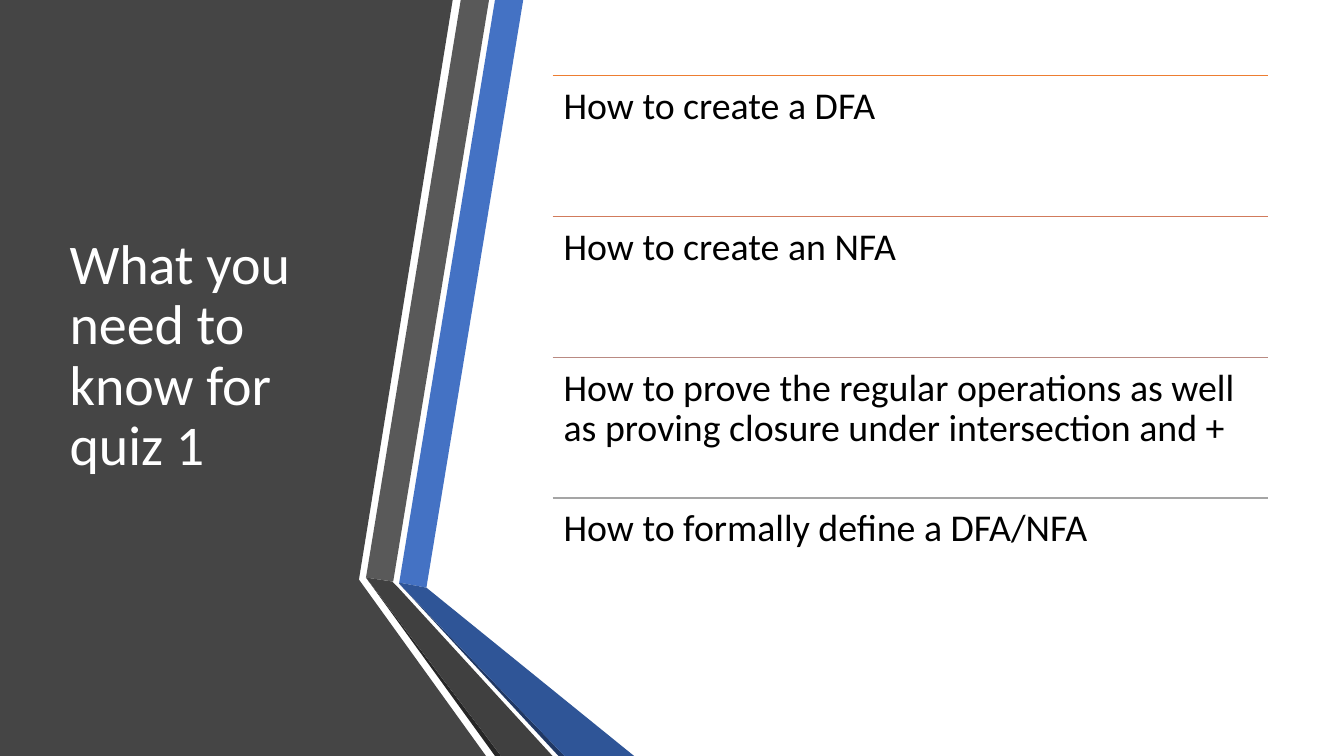
from lxml import etree
from pptx import Presentation, util as u
from pptx.dml.color import RGBColor
from pptx.enum import shapes, text
from pptx.oxml.ns import qn

PX = 9144  # 100 px to the inch
COLORS = {
    "panel": "454545",
    "blue": "4472C4", "blue_fold": "2F5597", "blue_edge": "203864",
    "gray": "595959", "gray_fold": "404040", "gray_edge": "262626",
    "title": "FFFFFF", "topic": "000000",
}
FONT = "Calibri"

BANDS = [
    ("panel", [(0, 0), (449, 0), (356, 575), (482, 750), (0, 750)]),
    ("blue", [(396, 578), (423, 583), (519, 0), (491, 0)]),
    ("gray", [(485, 0), (457, 0), (363, 573), (390, 577)]),
    ("gray_edge", [(363, 573), (491, 750), (497, 750)]),
    ("blue_edge", [(396, 579), (554, 750), (560, 750)]),
    ("blue_fold", [(396, 579), (560, 750), (629, 750), (423, 583), (396, 578)]),
    ("gray_fold", [(548, 750), (395, 583), (389, 577), (363, 573), (497, 750)]),
]
TOPICS = [
    ("How to create a DFA", "ED7D31"),
    ("How to create an NFA", "D17B5C"),
    ("How to prove the regular operations as well as proving closure "
     "under intersection and +", "B98A82"),
    ("How to formally define a DFA/NFA", "A5A5A5"),
]
LIST_LEFT, LIST_TOP, LIST_WIDTH, LIST_HEIGHT = 548, 75, 710, 559


def style_paragraph(para, size, color):
    para.alignment = text.PP_ALIGN.LEFT
    para.line_spacing = 0.9
    para.font.name = FONT
    para.font.size = u.Pt(size)
    para.font.color.rgb = RGBColor.from_string(COLORS[color])


deck = Presentation()
deck.slide_width, deck.slide_height = 1333 * PX, 750 * PX
page = deck.slides.add_slide(deck.slide_layouts[5])

# Folded ribbon beside the dark panel
for color, points in BANDS:
    outline = page.shapes.build_freeform(*points[0], scale=PX)
    outline.add_line_segments(points[1:], close=True)
    band = outline.convert_to_shape()
    band.shadow.inherit = False
    band.fill.solid()
    band.fill.fore_color.rgb = RGBColor.from_string(COLORS[color])
    band.line.fill.background()

# Title, brought in front of the panel
title = page.shapes.title
title.element.getparent().append(title.element)
title.left, title.top, title.width, title.height = [n * PX for n in (59, 75, 304, 558)]
title.text_frame.text = "What you need to know for quiz 1"
title.text_frame.word_wrap = True
title.text_frame.auto_size = text.MSO_AUTO_SIZE.NONE
title.text_frame.vertical_anchor = text.MSO_ANCHOR.MIDDLE
style_paragraph(title.text_frame.paragraphs[0], 40, "title")

# Topics, each under its own rule
row_height = LIST_HEIGHT * PX // len(TOPICS)
left, width = LIST_LEFT * PX, LIST_WIDTH * PX
for row, (topic, rule_color) in enumerate(TOPICS):
    top = LIST_TOP * PX + row * row_height
    rule = page.shapes.add_connector(
        shapes.MSO_CONNECTOR.STRAIGHT, left, top, left + width, top)
    rule.line.width = u.Pt(1)
    rule.line.color.rgb = RGBColor.from_string(rule_color)
    etree.SubElement(rule.element.spPr, qn("a:effectLst"))

    box = page.shapes.add_textbox(left, top, width, row_height)
    frame = box.text_frame
    frame.word_wrap = True
    frame.margin_left = frame.margin_right = 11 * PX
    frame.margin_top = frame.margin_bottom = 11 * PX
    frame.text = topic
    style_paragraph(frame.paragraphs[0], 27, "topic")

deck.save("out.pptx")
